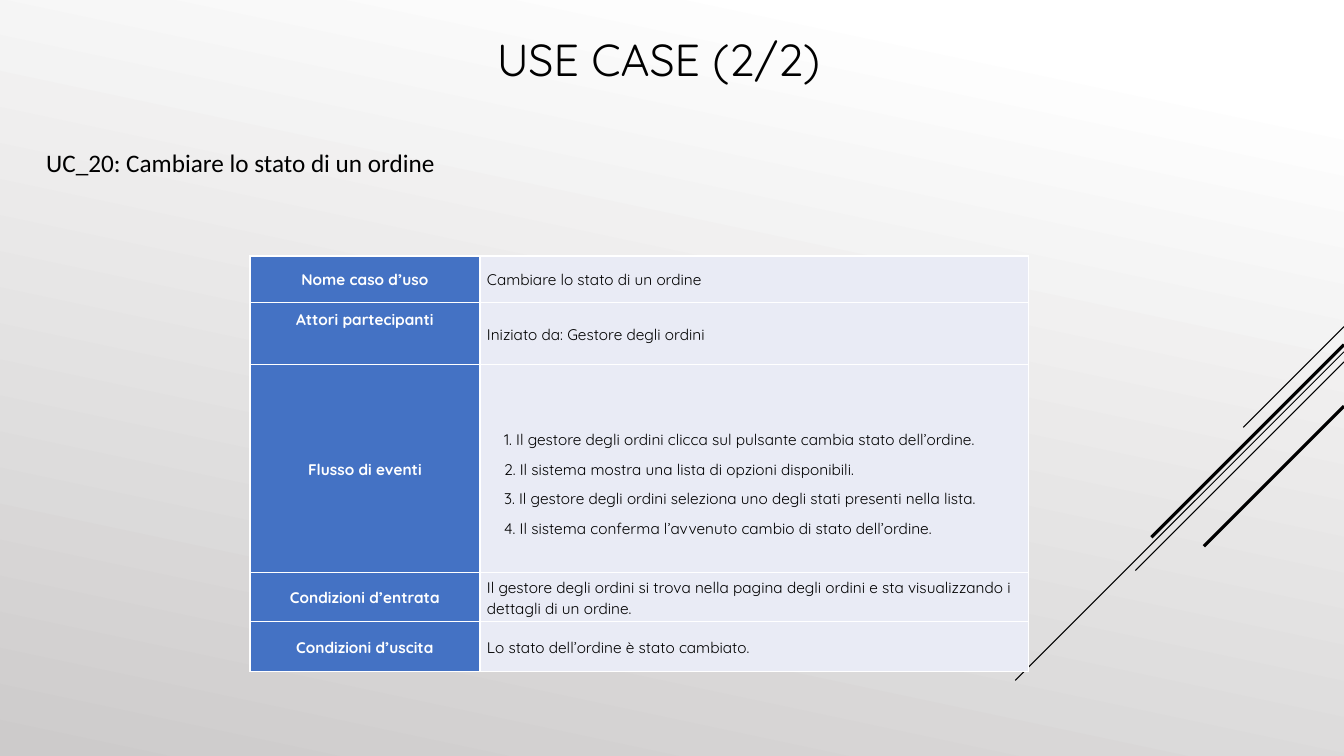
import pptx
import pptx.util
import pptx.dml.color
import pptx.enum.shapes
import pptx.enum.text
import pptx.oxml.ns
from lxml import etree

Inches, Pt = pptx.util.Inches, pptx.util.Pt
PP_ALIGN = pptx.enum.text.PP_ALIGN
ANCHOR = pptx.enum.text.MSO_ANCHOR

COLORS = {"ink": "000000", "paper": "FFFFFF", "label": "4472C4",
          "value": "E9EBF5", "bg_end": "CDCBCB"}
HEADING_FONT, BODY_FONT = "Quicksand", "Calibri"

TITLE = "USE CASE (2/2)"
SUBTITLE = "UC_20: Cambiare lo stato di un ordine"

# label, value paragraphs, row height
USE_CASE = [
    ("Nome caso d’uso", ["Cambiare lo stato di un ordine"], 0.46),
    ("Attori partecipanti", ["Iniziato da: Gestore degli ordini"], 0.62),
    ("Flusso di eventi", [
        "1. Il gestore degli ordini clicca sul pulsante cambia stato dell’ordine.",
        "2. Il sistema mostra una lista di opzioni disponibili.",
        "3. Il gestore degli ordini seleziona uno degli stati presenti nella lista.",
        "4. Il sistema conferma l’avvenuto cambio di stato dell’ordine.",
    ], 2.06),
    ("Condizioni d’entrata", [
        "Il gestore degli ordini si trova nella pagina degli ordini e sta "
        "visualizzando i dettagli di un ordine."], 0.49),
    ("Condizioni d’uscita", ["Lo stato dell’ordine è stato cambiato."], 0.49),
]
TABLE_LEFT, TABLE_TOP = 2.48, 2.54
COLUMN_WIDTHS = [2.28, 5.44]
ACTORS_ROW, FLOW_ROW = 1, 2
LINE_STEP = 0.29
STEP_INDENT = 0.17

SLIDE_WIDTH, SLIDE_HEIGHT = 13.33, 7.5
# top at the right edge, run (equal across and down), width in points
DIAGONALS = [(3.24, 1.0, 0.75), (3.49, 3.26, 0.75), (3.59, 2.07, 0.75),
             (3.42, 1.91, 2.25), (4.03, 1.39, 2.25)]


def rgb(name):
    return pptx.dml.color.RGBColor.from_string(COLORS[name])


def add_text(paragraph, text, size, font, color, bold=False):
    run = paragraph.add_run()
    run.text = text
    run.font.size = Pt(size)
    run.font.name = font
    run.font.bold = bold
    run.font.color.rgb = rgb(color)


def add_label(slide, box, text, size, font, anchor, top_inset):
    frame = slide.shapes.add_textbox(*map(Inches, box)).text_frame
    frame.word_wrap = True
    frame.vertical_anchor = anchor
    frame.margin_top = Inches(top_inset)
    add_text(frame.paragraphs[0], text, size, font, "ink")


def paint_background(slide):
    fill = slide.background.fill
    fill.gradient()
    fill.gradient_angle = 360 - 102
    for stop, position, color in zip(fill.gradient_stops, (0.1, 1), ("paper", "bg_end")):
        stop.position = position
        stop.color.rgb = rgb(color)


def add_diagonals(slide):
    for top, run, width in DIAGONALS:
        diagonal = slide.shapes.add_connector(
            pptx.enum.shapes.MSO_CONNECTOR.STRAIGHT,
            Inches(SLIDE_WIDTH), Inches(top),
            Inches(SLIDE_WIDTH - run), Inches(top + run))
        diagonal.line.color.rgb = rgb("ink")
        diagonal.line.width = Pt(width)
        etree.SubElement(diagonal._element.spPr, pptx.oxml.ns.qn("a:effectLst"))


def add_borders(cell):
    properties = cell._tc.get_or_add_tcPr()
    for side in ("a:lnL", "a:lnR", "a:lnT", "a:lnB"):
        line = etree.SubElement(properties, pptx.oxml.ns.qn(side), w=str(Pt(1)))
        fill = etree.SubElement(line, pptx.oxml.ns.qn("a:solidFill"))
        etree.SubElement(fill, pptx.oxml.ns.qn("a:srgbClr"), val=COLORS["paper"])


def fill_cell(cell, lines, is_label, indent=0):
    add_borders(cell)
    cell.fill.solid()
    cell.fill.fore_color.rgb = rgb("label" if is_label else "value")
    cell.vertical_anchor = ANCHOR.MIDDLE
    cell.margin_left = cell.margin_right = Inches(0.07)
    cell.margin_top = cell.margin_bottom = 0
    frame = cell.text_frame
    for index, text in enumerate(lines):
        paragraph = frame.add_paragraph() if index else frame.paragraphs[0]
        paragraph.alignment = PP_ALIGN.CENTER if is_label else PP_ALIGN.LEFT
        paragraph.line_spacing = 1.1
        paragraph.space_after = Pt(6)
        if indent:
            paragraph._p.get_or_add_pPr().set("marL", str(Inches(indent)))
        add_text(paragraph, text, 11, HEADING_FONT,
                 "paper" if is_label else "ink", is_label)


def add_use_case_table(slide):
    heights = [height for _, _, height in USE_CASE]
    table = slide.shapes.add_table(
        len(USE_CASE), len(COLUMN_WIDTHS), Inches(TABLE_LEFT), Inches(TABLE_TOP),
        Inches(sum(COLUMN_WIDTHS)), Inches(sum(heights))).table
    table.first_row = table.horz_banding = False
    for column, width in zip(table.columns, COLUMN_WIDTHS):
        column.width = Inches(width)
    for index, (label, lines, height) in enumerate(USE_CASE):
        table.rows[index].height = Inches(height)
        fill_cell(table.cell(index, 0), [label], True)
        fill_cell(table.cell(index, 1), lines, False,
                  STEP_INDENT if index == FLOW_ROW else 0)
    table.cell(ACTORS_ROW, 0).margin_bottom = Inches(LINE_STEP)
    table.cell(FLOW_ROW, 1).margin_top = Inches(LINE_STEP)


def main():
    deck = pptx.Presentation()
    deck.slide_width, deck.slide_height = Inches(SLIDE_WIDTH), Inches(SLIDE_HEIGHT)
    slide = deck.slides.add_slide(deck.slide_layouts[6])
    paint_background(slide)
    add_diagonals(slide)
    add_use_case_table(slide)
    add_label(slide, (0.36, 1.43, 4.24, 0.63), SUBTITLE, 18, BODY_FONT, ANCHOR.TOP, 0.03)
    add_label(slide, (4.83, 0, 3.68, 1.16), TITLE, 32, HEADING_FONT, ANCHOR.MIDDLE, 0.05)
    deck.save("out.pptx")


if __name__ == "__main__":
    main()
